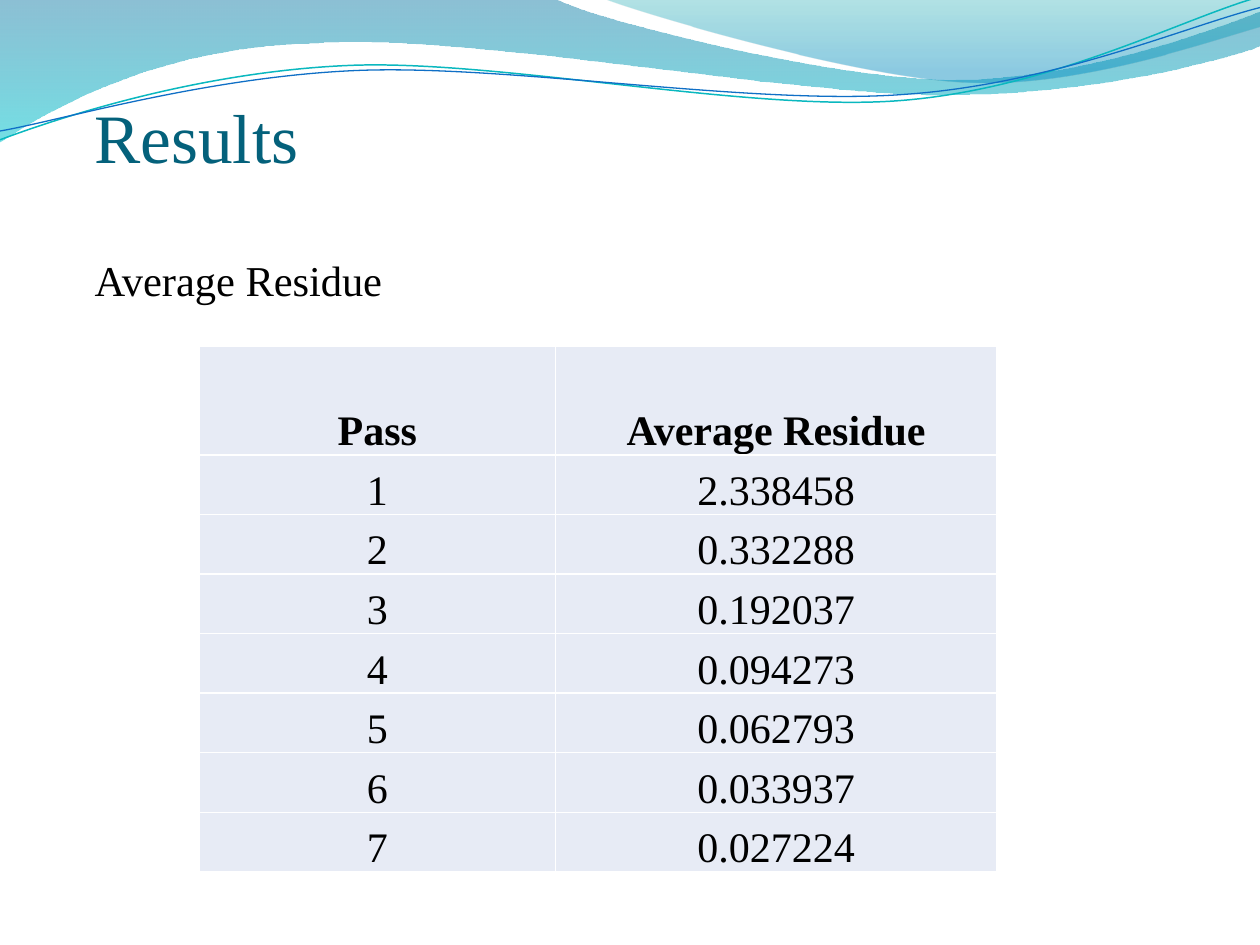
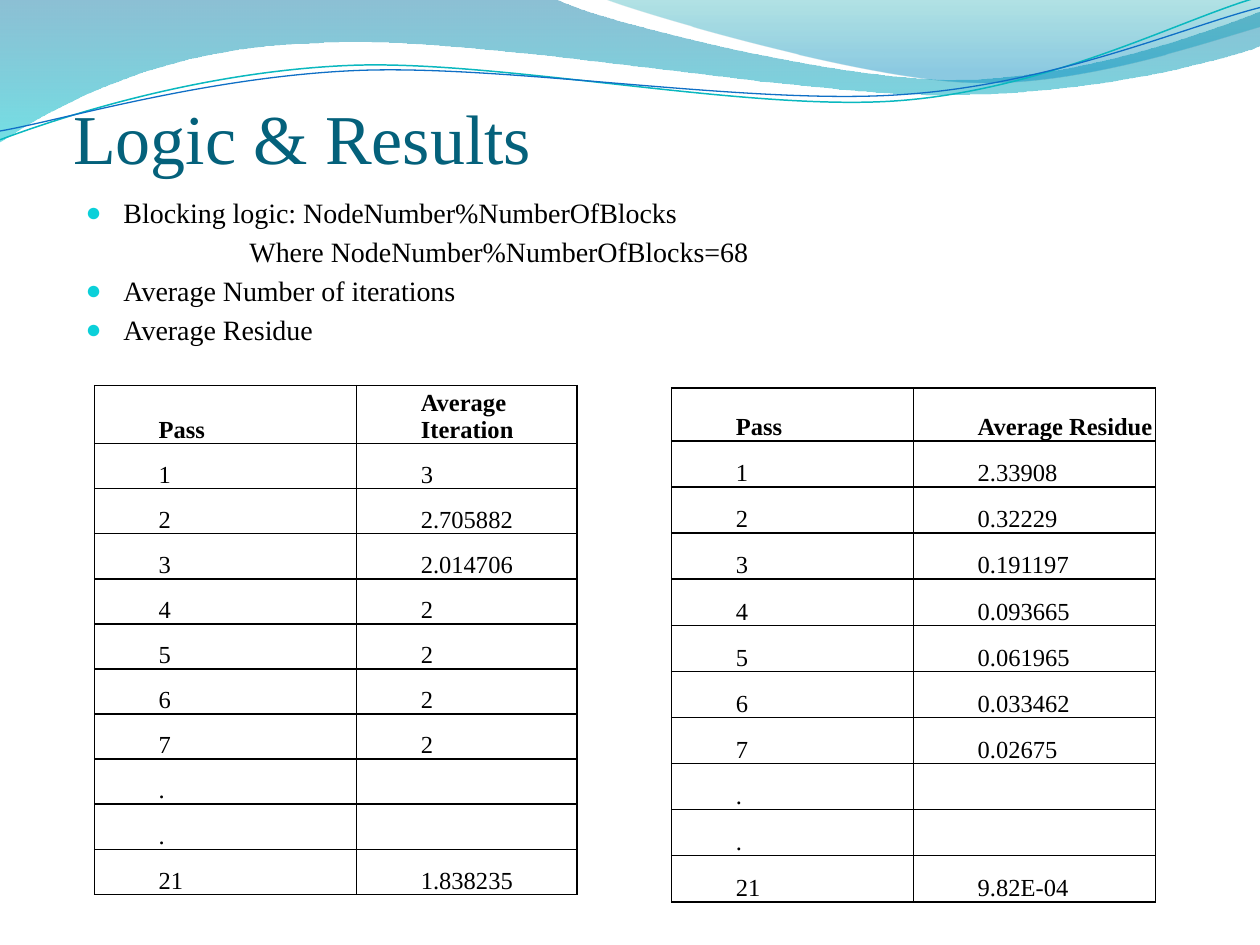
"""Build two slides of residue and iteration results under a wave banner."""
import dataclasses

import lxml.etree
import pptx
import pptx.dml.color
import pptx.enum.text
import pptx.oxml.ns
import pptx.util

Inches = pptx.util.Inches
Pt = pptx.util.Pt
qn = pptx.oxml.ns.qn
RGB = pptx.dml.color.RGBColor.from_string


@dataclasses.dataclass(frozen=True)
class Theme:
    font: str = "Times New Roman"
    title: str = "04617B"
    text: str = "000000"
    bullet: str = "0BD0D9"
    cell: str = "E7EBF5"
    light_rule: str = "FFFFFF"
    dark_rule: str = "000000"
    teal_line: str = "0AB8BF"
    blue_line: str = "0F6FC6"
    band_stops: tuple = ((0, "0074A1", 45), (1, "00C6CF", 55))
    crest_stops: tuple = ((0, "00A1A9", 30), (0.8, "008BBF", 45))
    title_size: float = 40
    short_title_size: float = 39.6
    subtitle_size: float = 24.3
    large_table_size: float = 24
    list_size: float = 16
    small_table_size: float = 14


theme = Theme()


def add_run(paragraph, text, size, color=theme.text, bold=False):
    run = paragraph.add_run()
    run.text = text
    run.font.name = theme.font
    run.font.size = Pt(size)
    run.font.bold = bold
    run.font.color.rgb = RGB(color)


def add_results(slide, box, widths, header_height, rows, size, rule, fill=None, indent=None):
    left, top, width, height = box
    results = slide.shapes.add_table(len(rows), len(widths), Inches(left), Inches(top),
                                     Inches(width), Inches(height)).table
    results.first_row = False
    results.horz_banding = False
    for column, column_width in zip(results.columns, widths):
        column.width = Inches(column_width)
    row_height = (height - header_height) / (len(rows) - 1)
    for r, values in enumerate(rows):
        results.rows[r].height = Inches(row_height if r else header_height)
        for c, value in enumerate(values):
            cell = results.cell(r, c)
            cell.margin_left = cell.margin_right = cell.margin_top = Inches(0.01)
            cell.margin_bottom = 0
            cell.vertical_anchor = pptx.enum.text.MSO_ANCHOR.BOTTOM
            if fill:
                cell.fill.solid()
                cell.fill.fore_color.rgb = RGB(fill)
            else:
                cell.fill.background()
            properties = cell._tc.get_or_add_tcPr()
            for position, side in enumerate(("lnL", "lnR", "lnT", "lnB")):
                border = lxml.etree.Element(qn(f"a:{side}"), w=str(Pt(1)))
                solid = lxml.etree.SubElement(border, qn("a:solidFill"))
                lxml.etree.SubElement(solid, qn("a:srgbClr"), val=rule)
                properties.insert(position, border)
            paragraph = cell.text_frame.paragraphs[0]
            if indent:
                paragraph._p.get_or_add_pPr().set("marL", str(Inches(indent)))
            else:
                paragraph.alignment = pptx.enum.text.PP_ALIGN.CENTER
            if value:
                add_run(paragraph, value, size, bold=r == 0)


deck = pptx.Presentation()
deck.slide_width = Inches(10)
deck.slide_height = Inches(7.5)
residue_slide = deck.slides.add_slide(deck.slide_layouts[5])
logic_slide = deck.slides.add_slide(deck.slide_layouts[1])

waves = [
    ((0, 0), [(4.4, -0.01), (4.76, 0.17, 6.64, 0.63, 7.58, 0.63),
              (8.53, 0.63, 9.58, 0.26, 10, 0.09), (10.01, 0.36),
              (9.83, 0.44, 8.7, 0.76, 7.46, 0.75), (6.22, 0.75, 3.82, 0.28, 2.57, 0.34),
              (1.29, 0.36, 0.46, 0.83, -0.01, 1.13), (0, 0)], theme.band_stops, None),
    ((4.79, -0.01), [(5.09, 0.11, 6.82, 0.62, 7.69, 0.65), (8.56, 0.69, 9.61, 0.32, 10, 0.21),
                     (10, 0), (4.79, -0.01)], theme.crest_stops, None),
    ((0, 1.11), [(0.48, 0.93, 1.58, 0.57, 2.77, 0.52), (3.95, 0.47, 5.93, 0.89, 7.13, 0.8),
                 (8.33, 0.71, 9.38, 0.15, 9.98, -0.02)], None, (theme.teal_line, 0.85)),
    ((0, 1.04), [(0.47, 0.96, 1.64, 0.61, 2.83, 0.56), (4.03, 0.51, 5.97, 0.84, 7.17, 0.75),
                 (8.36, 0.67, 9.41, 0.21, 10, 0.06)], None, (theme.blue_line, 0.75)),
]
first_placeholder = deck.slide_master.shapes[0]._element
for number, (start, segments, stops, stroke) in enumerate(waves):
    points = [(Inches(x), Inches(y)) for segment in segments
              for x, y in zip(segment[::2], segment[1::2])]
    outline = residue_slide.shapes.build_freeform(Inches(start[0]), Inches(start[1]))
    outline.add_line_segments(points, close=stops is not None)
    wave = outline.convert_to_shape()
    straights = iter(list(wave._element.iter(qn("a:lnTo"))))
    for segment in segments:
        node = next(straights)
        if len(segment) == 6:
            curve = lxml.etree.Element(qn("a:cubicBezTo"))
            node.addprevious(curve)
            for control in (node, next(straights), next(straights)):
                curve.append(control[0])
                control.getparent().remove(control)
    wave.shadow.inherit = False
    if stops:
        wave.line.fill.background()
        wave.fill.gradient()
        wave.fill.gradient_angle = 270
        for stop, (position, color, _) in zip(wave.fill.gradient_stops, stops):
            stop.position = position
            stop.color.rgb = RGB(color)
        for color_node, (_, _, opacity) in zip(wave._element.iter(qn("a:srgbClr")), stops):
            lxml.etree.SubElement(color_node, qn("a:alpha"), val=str(opacity * 1000))
    else:
        color, line_width = stroke
        wave.fill.background()
        wave.line.color.rgb = RGB(color)
        wave.line.width = Pt(line_width)
    wave._element.nvSpPr.cNvPr.set("id", str(20 + number))
    first_placeholder.addprevious(wave._element)

headings = [
    (residue_slide, 0.75, 1.17, "Results", theme.short_title_size),
    (logic_slide, 0.58, 0.17, "Logic & Results", theme.title_size),
]
for slide, left, top, heading, size in headings:
    title = slide.shapes.title
    title.left, title.top, title.width, title.height = map(Inches, (left, top, 9, 1.25))
    frame = title.text_frame
    frame.auto_size = pptx.enum.text.MSO_AUTO_SIZE.NONE
    frame.vertical_anchor = pptx.enum.text.MSO_ANCHOR.BOTTOM
    frame.margin_left = frame.margin_right = frame.margin_bottom = 0
    frame.margin_top = Inches(0.05)
    frame.paragraphs[0].alignment = pptx.enum.text.PP_ALIGN.LEFT
    add_run(frame.paragraphs[0], heading, size, theme.title)

subtitle = residue_slide.shapes.title.text_frame.add_paragraph()
subtitle.alignment = pptx.enum.text.PP_ALIGN.LEFT
subtitle.space_before = Pt(43.5)
add_run(subtitle, "Average Residue", theme.subtitle_size)

passes = ["1", "2", "3", "4", "5", "6", "7"]
sampled_passes = ["Pass", *passes, ".", ".", "21"]
pass_residues = ["2.338458", "0.332288", "0.192037", "0.094273", "0.062793", "0.033937", "0.027224"]
block_iterations = ["Average Iteration", "3", "2.705882", "2.014706", "2", "2", "2", "2",
                    "", "", "1.838235"]
block_residues = ["Average Residue", "2.33908", "0.32229", "0.191197", "0.093665", "0.061965",
                  "0.033462", "0.02675", "", "", "9.82E-04"]

add_results(residue_slide, (1.58, 2.75, 6.33, 4.17), (2.83, 3.5), 0.86,
            [("Pass", "Average Residue"), *zip(passes, pass_residues)],
            theme.large_table_size, theme.light_rule, fill=theme.cell)
add_results(logic_slide, (5.33, 3.08, 3.83, 4.08), (1.92, 1.92), 0.42,
            list(zip(sampled_passes, block_residues)),
            theme.small_table_size, theme.dark_rule, indent=0.5)
add_results(logic_slide, (0.75, 3.06, 3.83, 4.04), (2.08, 1.75), 0.46,
            list(zip(sampled_passes, block_iterations)),
            theme.small_table_size, theme.dark_rule, indent=0.5)

logic = logic_slide.placeholders[1]
logic.left, logic.top, logic.width, logic.height = map(Inches, (0.58, 1.5, 9, 1.25))
logic.text_frame.auto_size = pptx.enum.text.MSO_AUTO_SIZE.NONE
logic_points = [
    ("Blocking logic: NodeNumber%NumberOfBlocks", True),
    ("Where NodeNumber%NumberOfBlocks=68", False),
    ("Average Number of iterations", True),
    ("Average Residue", True),
]
for index, (point, bulleted) in enumerate(logic_points):
    frame = logic.text_frame
    paragraph = frame.add_paragraph() if index else frame.paragraphs[0]
    properties = paragraph._p.get_or_add_pPr()
    properties.set("marL", str(Inches(0.3 if bulleted else 1.3)))
    properties.set("indent", str(Inches(-0.3 if bulleted else 0)))
    if bulleted:
        bullet_color = lxml.etree.SubElement(properties, qn("a:buClr"))
        lxml.etree.SubElement(bullet_color, qn("a:srgbClr"), val=theme.bullet)
        lxml.etree.SubElement(properties, qn("a:buSzPct"), val="95000")
        lxml.etree.SubElement(properties, qn("a:buChar"), char="●")
    else:
        lxml.etree.SubElement(properties, qn("a:buNone"))
    add_run(paragraph, point, theme.list_size)

deck.save("out.pptx")
